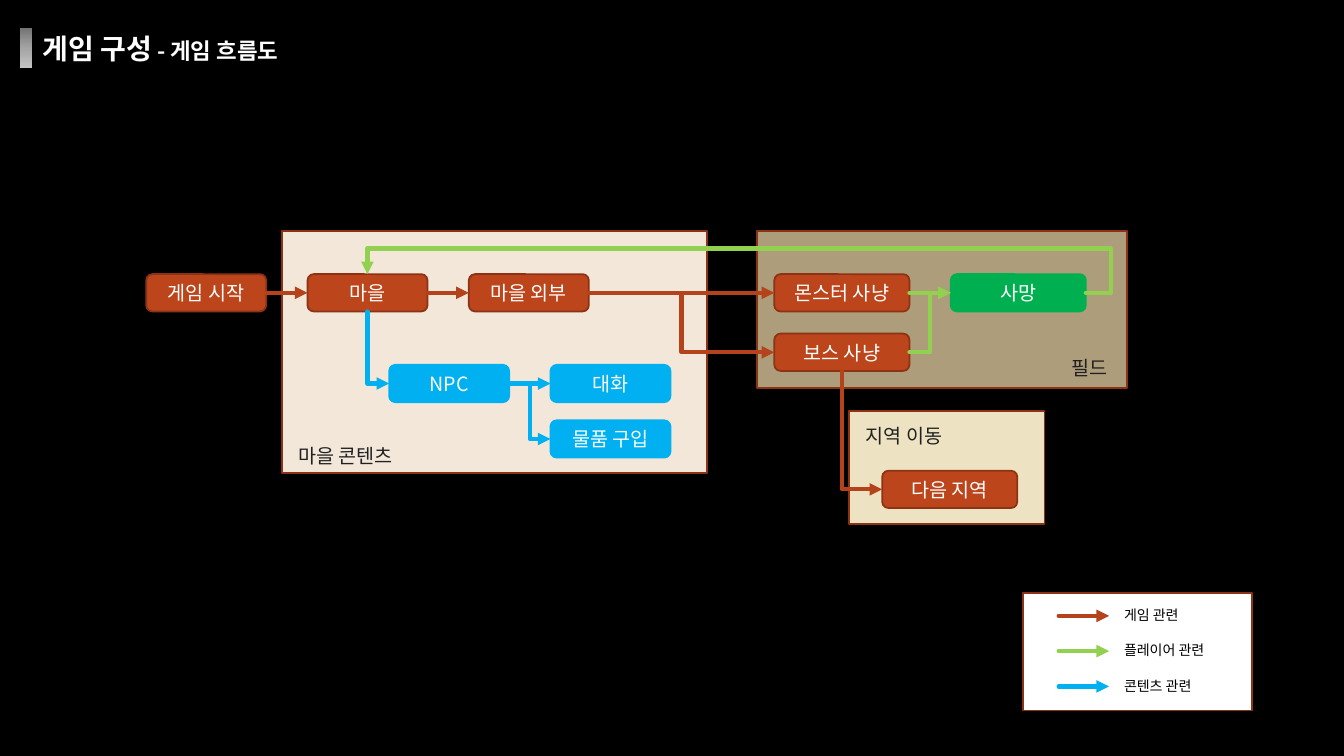
import copy

import lxml.etree
import pptx
import pptx.dml.color
import pptx.enum.shapes
import pptx.enum.text
import pptx.oxml.ns
import pptx.util

PX = 9144  # EMU per px, 100 px to the inch
SHAPE = pptx.enum.shapes.MSO_SHAPE
CONNECTOR = pptx.enum.shapes.MSO_CONNECTOR
ALIGN = pptx.enum.text.PP_ALIGN
ANCHOR = pptx.enum.text.MSO_ANCHOR
TOP, LEFT, BOTTOM, RIGHT = range(4)  # connection sites of a box

FONT = "Noto Sans CJK KR"
LABEL_FONT = "Lato"
WHITE, BLACK, INK = "FFFFFF", "000000", "212123"
RUST, RUST_EDGE, RUST_ARROW = "BC451B", "8B3314", "B4421A"
GREEN, LIME, SKY = "00B050", "92D050", "00B0F0"


def rgb(value):
    return pptx.dml.color.RGBColor.from_string(value)


def add_xml(parent, tag, **attributes):
    return lxml.etree.SubElement(parent, pptx.oxml.ns.qn(tag), attributes)


class FlowSlide:
    def __init__(self, presentation):
        self.slide = presentation.slides.add_slide(presentation.slide_layouts[5])
        self.shapes = self.slide.shapes
        fill = self.slide.background.fill
        fill.solid()
        fill.fore_color.rgb = rgb(BLACK)

    def run(self, paragraph, text, size, color, font=FONT, bold=False):
        run = paragraph.add_run()
        run.text = text
        run.font.size = pptx.util.Pt(size)
        run.font.bold = bold
        run.font.color.rgb = rgb(color)
        run.font.name = font
        add_xml(run.font._element, "a:ea", typeface=FONT)

    def title(self, x, y, w, h, parts):
        title = self.shapes.title
        title.left, title.top, title.width, title.height = (v * PX for v in (x, y, w, h))
        frame = title.text_frame
        frame.auto_size = pptx.enum.text.MSO_AUTO_SIZE.NONE
        frame.vertical_anchor = ANCHOR.TOP
        frame.paragraphs[0].alignment = ALIGN.LEFT
        for text, size in parts:
            self.run(frame.paragraphs[0], text, size, WHITE, bold=True)

    def text(self, x, y, w, h, text, size, color, font=FONT):
        frame = self.shapes.add_textbox(x * PX, y * PX, w * PX, h * PX).text_frame
        frame.word_wrap = True
        self.run(frame.paragraphs[0], text, size, color, font)

    def panel(self, x, y, w, h, fill, edge=RUST_EDGE, kind=SHAPE.RECTANGLE):
        panel = self.shapes.add_shape(kind, x * PX, y * PX, w * PX, h * PX)
        panel.shadow.inherit = False
        panel.fill.solid()
        panel.fill.fore_color.rgb = rgb(fill)
        panel.line.color.rgb = rgb(edge)
        panel.line.width = pptx.util.Pt(1.25)
        return panel

    def gradient_bar(self, x, y, w, h, stops):
        bar = self.panel(x, y, w, h, WHITE)
        bar.line.fill.background()
        bar.fill.gradient()
        bar.fill.gradient_angle = 270
        stop_list = bar._element.spPr.find(".//" + pptx.oxml.ns.qn("a:gsLst"))
        while len(stop_list) < len(stops):
            stop_list.append(copy.deepcopy(stop_list[0]))
        for stop, (position, color) in zip(bar.fill.gradient_stops, stops):
            stop.position = position
            stop.color.rgb = rgb(color)

    def box(self, x, y, w, text, fill=RUST, edge=RUST_EDGE):
        box = self.panel(x, y, w, 37, fill, edge, SHAPE.ROUNDED_RECTANGLE)
        frame = box.text_frame
        frame.word_wrap = True
        frame.vertical_anchor = ANCHOR.MIDDLE
        frame.paragraphs[0].alignment = ALIGN.CENTER
        self.run(frame.paragraphs[0], text, 14, WHITE)
        return box

    def arrow(self, start, end, color):
        kind = CONNECTOR.STRAIGHT if start[1] == end[1] else CONNECTOR.ELBOW
        arrow = self.shapes.add_connector(kind, *start, *end)
        arrow.line.color.rgb = rgb(color)
        arrow.line.width = pptx.util.Pt(3)
        line = arrow.line._get_or_add_ln()
        line.set("cap", "rnd")
        add_xml(line, "a:round")
        add_xml(line, "a:tailEnd", type="triangle")
        add_xml(arrow._element.spPr, "a:effectLst")
        return arrow

    def site(self, box, side):
        middle_x, middle_y = box.left + box.width // 2, box.top + box.height // 2
        return {TOP: (middle_x, box.top), LEFT: (box.left, middle_y),
                BOTTOM: (middle_x, box.top + box.height),
                RIGHT: (box.left + box.width, middle_y)}[side]

    def link(self, source, target, color, leave=RIGHT, enter=LEFT):
        link = self.arrow(self.site(source, leave), self.site(target, enter), color)
        link.begin_connect(source, leave)
        link.end_connect(target, enter)
        return link

    def link_down(self, source, target, color):
        """Leave downwards, then turn right into the target."""
        link = self.link(source, target, color, leave=BOTTOM)
        x, y, w, h = link.left, link.top, link.width, link.height
        link.left, link.top = x + (w - h) // 2, y + (h - w) // 2
        link.width, link.height = h, w
        properties = link._element.spPr
        properties.xfrm.set("rot", "16200000")
        properties.xfrm.set("flipH", "1")
        properties.prstGeom.set("prst", "bentConnector2")

    def link_back(self, source, target, color, out, rise):
        """Leave rightwards by out, climb by rise, return above the target."""
        link = self.link(source, target, color, enter=TOP)
        geometry = link._element.spPr.prstGeom
        geometry.set("prst", "bentConnector4")
        adjusts = (-out * PX / link.width, rise * PX / link.height)
        for number, share in enumerate(adjusts, 1):
            add_xml(geometry.avLst, "a:gd", name=f"adj{number}",
                    fmla=f"val {round(share * 100000)}")


def main():
    presentation = pptx.Presentation()
    presentation.slide_width, presentation.slide_height = 1333 * PX, 750 * PX
    flow = FlowSlide(presentation)

    # Heading
    flow.gradient_bar(20, 28, 12, 40, [(0, "747474"), (0.5, "A5A5A5"), (1, "C4C4C4")])
    flow.title(32, 26, 296, 44, [("게임 구성", 20), (" - 게임 흐름도", 16)])

    # Legend
    flow.panel(1015, 588, 227, 117, WHITE)
    legend = [("게임 관련", RUST_ARROW), ("플레이어 관련", LIME), ("콘텐츠 관련", SKY)]
    for row, (meaning, color) in enumerate(legend):
        y = 611 + 35 * row
        flow.arrow((1050 * PX, y * PX), (1100 * PX, y * PX), color)
        flow.text(1105, y - 14, 111, 27, meaning, 10, BLACK)

    # Areas
    flow.panel(751, 229, 367, 156, "AD9D7B")
    flow.panel(280, 229, 421, 240, "F2E7D8")
    flow.panel(842, 408, 194, 112, "EDE3C3")
    for x, y, w, area in [(286, 435, 127, "마을 콘텐츠"), (1053, 348, 64, "필드"),
                          (849, 416, 127, "지역 이동")]:
        flow.text(x, y, w, 34, area, 14, INK, LABEL_FONT)

    # Steps
    start, village, outside = (flow.box(145 + 160 * column, 272, 119, step)
                               for column, step in enumerate(["게임 시작", "마을", "마을 외부"]))
    monster_hunt = flow.box(768, 272, 134, "몬스터 사냥")
    boss_hunt = flow.box(768, 331, 134, "보스 사냥")
    death = flow.box(943, 272, 134, "사망", GREEN, GREEN)
    next_region = flow.box(875, 467, 134, "다음 지역")
    npc, talk, shop = (flow.box(x, y, 119, step, SKY, SKY) for x, y, step in
                       [(386, 362, "NPC"), (546, 362, "대화"), (546, 417, "물품 구입")])

    # Flow between steps
    for source, target, color in [
            (start, village, RUST_ARROW), (village, outside, RUST_ARROW),
            (outside, monster_hunt, RUST_ARROW), (outside, boss_hunt, RUST_ARROW),
            (boss_hunt, death, LIME), (monster_hunt, death, LIME),
            (npc, talk, SKY), (npc, shop, SKY)]:
        flow.link(source, target, color)
    flow.link_back(death, village, LIME, out=25, rise=44)
    flow.link_down(village, npc, SKY)
    flow.link_down(boss_hunt, next_region, RUST_ARROW)

    presentation.save("out.pptx")


if __name__ == "__main__":
    main()
